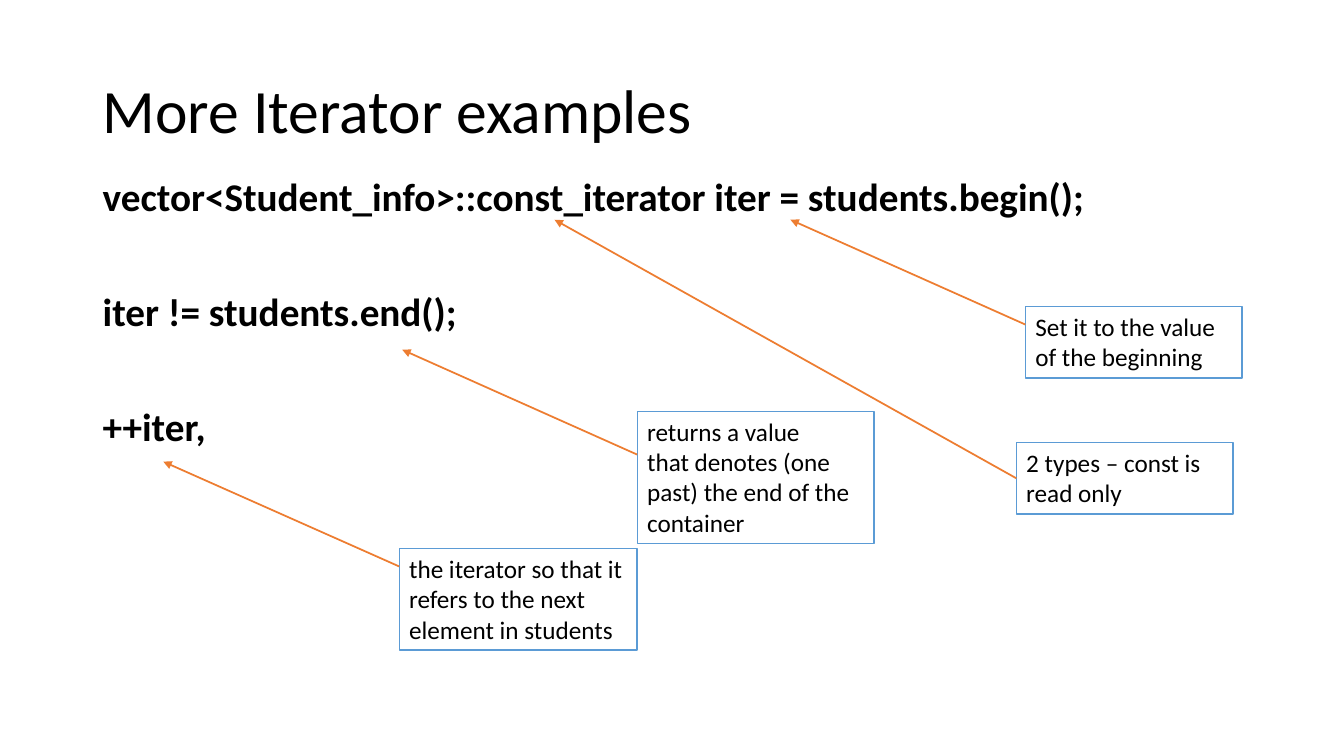
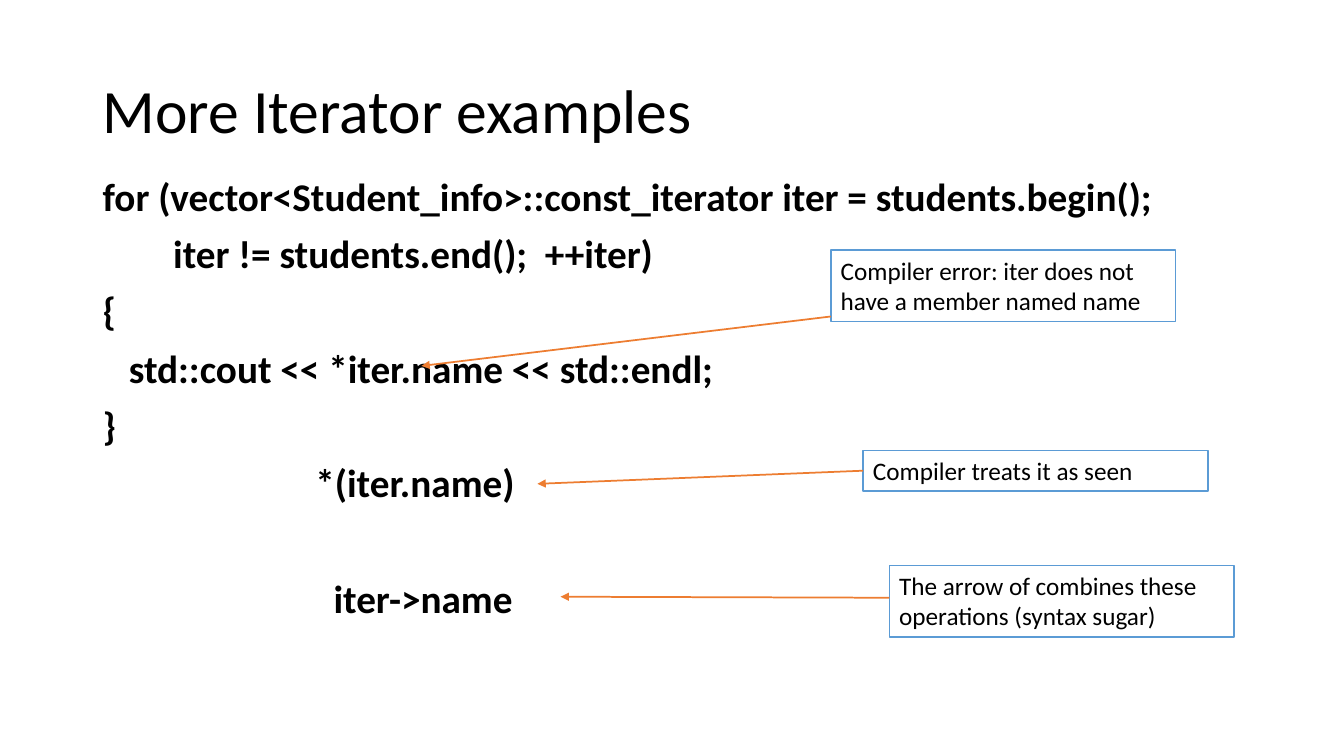
import pptx
import pptx.util
import pptx.dml.color
import pptx.enum.shapes
import pptx.enum.text
import pptx.oxml
import pptx.oxml.ns

PX = 9144  # EMU per px, 100 px to the inch
FONT = "Calibri"
BLACK, WHITE, BLUE, ORANGE = "000000", "FFFFFF", "5B9BD5", "ED7D31"


def px(*lengths):
    return [pptx.util.Emu(n * PX) for n in lengths]


def rgb(color):
    return pptx.dml.color.RGBColor.from_string(color)


class Deck:
    """Holds the shared style and the current slide."""

    def __init__(self):
        self.prs = pptx.Presentation()
        self.prs.slide_width, self.prs.slide_height = px(1333, 750)
        self.s = None

    def format(self, p, size, bold=False, line_spacing=1.0):
        p.alignment = pptx.enum.text.PP_ALIGN.LEFT
        p.line_spacing = line_spacing
        for r in p.runs:
            r.font.name = FONT
            r.font.size = pptx.util.Pt(size)
            r.font.bold = bold
            r.font.color.rgb = rgb(BLACK)

    def slide(self, title):
        self.s = self.prs.slides.add_slide(self.prs.slide_layouts[5])
        sp = self.s.shapes.title
        sp.left, sp.top, sp.width, sp.height = px(92, 40, 1150, 145)
        tf = sp.text_frame
        tf.text = title
        tf.auto_size = pptx.enum.text.MSO_AUTO_SIZE.NONE
        tf.vertical_anchor = pptx.enum.text.MSO_ANCHOR.MIDDLE
        self.format(tf.paragraphs[0], 44, line_spacing=0.9)

    def code(self, lines):
        """Each line is its text, its indent in px and its space before in pt."""
        tf = self.s.shapes.add_textbox(*px(92, 169, 1150, 476)).text_frame
        tf.word_wrap = True
        tf.text = "\n".join(text for text, _, _ in lines)
        for p, (_, indent, before) in zip(tf.paragraphs, lines):
            self.format(p, 28, bold=True, line_spacing=0.95)
            p.space_before = pptx.util.Pt(before)
            p._p.get_or_add_pPr().set("marL", str(indent * PX))

    def note(self, text, left, top, width, height):
        sp = self.s.shapes.add_shape(
            pptx.enum.shapes.MSO_SHAPE.RECTANGLE, *px(left, top, width, height))
        sp.shadow.inherit = False
        sp.fill.solid()
        sp.fill.fore_color.rgb = rgb(WHITE)
        sp.line.color.rgb = rgb(BLUE)
        sp.line.width = pptx.util.Pt(1)
        tf = sp.text_frame
        tf.text = text
        tf.word_wrap = True
        tf.auto_size = pptx.enum.text.MSO_AUTO_SIZE.SHAPE_TO_FIT_TEXT
        tf.vertical_anchor = pptx.enum.text.MSO_ANCHOR.TOP
        for p in tf.paragraphs:
            self.format(p, 18)
        return sp

    def arrow(self, note, x, y, start_y=None):
        """Points from the left side of a note, by default from its middle."""
        start = note.left, px(start_y or 0)[0]
        line = self.s.shapes.add_connector(
            pptx.enum.shapes.MSO_CONNECTOR.STRAIGHT, *start, *px(x, y))
        if start_y is None:
            line.begin_connect(note, 1)
        line.line.color.rgb = rgb(ORANGE)
        line.line.width = pptx.util.Pt(1.25)
        ns = pptx.oxml.ns.nsdecls("a")
        line.line._get_or_add_ln().append(
            pptx.oxml.parse_xml(f'<a:tailEnd {ns} type="triangle"/>'))
        line._element.spPr.append(pptx.oxml.parse_xml(f"<a:effectLst {ns}/>"))

    def callouts(self, items):
        for text, box, tip, start_y in items:
            self.arrow(self.note(text, *box), *tip, start_y)


def main():
    deck = Deck()
    title = "More Iterator examples"
    near, far = 9, 50.4  # space before a line: next row, or one row skipped

    # Iterator expressions
    deck.slide(title)
    deck.code([
        ("vector<Student_info>::const_iterator iter = students.begin();", 0, near),
        ("iter != students.end();", 0, far),
        ("++iter,", 0, far),
    ])
    deck.callouts([
        ("2 types – const is\nread only", (1008, 439, 215, 71), (550, 218), None),
        ("Set it to the value of the beginning",
         (1017, 304, 215, 71), (784, 218), 322),
        ("returns a value\nthat denotes (one past) the end of the container",
         (632, 408, 235, 131), (399, 347), 451),
        ("the iterator so that it refers to the next element in students",
         (396, 544, 236, 101), (162, 458), 562),
    ])

    # Iterators in a loop
    deck.slide(title)
    deck.code([
        ("for (vector<Student_info>::const_iterator iter = students.begin();", 0, near),
        ("iter != students.end();  ++iter)", 70, near),
        ("{", 0, near),
        ("std::cout << *iter.name << std::endl;", 26, near),
        ("}", 0, near),
        ("*(iter.name)", 211, near),
        ("iter->name", 229, far),
    ])
    deck.callouts([
        ("Compiler error: iter does not have a member named name",
         (824, 248, 342, 71), (418, 363), 314),
        ("Compiler treats it as seen", (856, 447, 342, 40), (533, 480), None),
        ("The arrow of combines these operations (syntax sugar)",
         (882, 561, 342, 71), (556, 592), 593),
    ])

    deck.prs.save("out.pptx")


if __name__ == "__main__":
    main()
